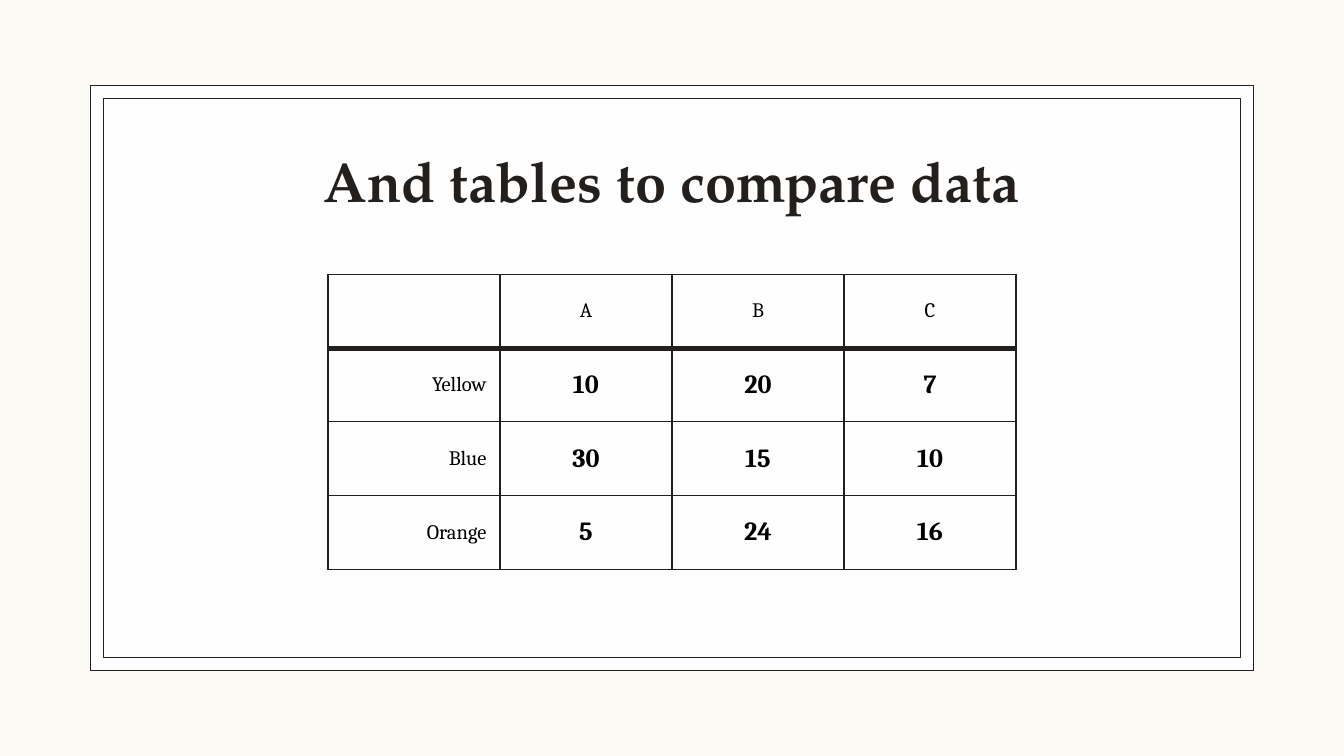
import lxml.etree
import pptx
import pptx.dml.color
import pptx.enum.shapes
import pptx.enum.text
import pptx.oxml.ns
import pptx.util

WIDTH = pptx.util.Inches(10)
HEIGHT = WIDTH * 9 // 16
INK, PAPER, CREAM, BLACK = "231F1C", "FFFFFF", "FBFAF5", "000000"
ROWS = [
    ["", "A", "B", "C"],
    ["Yellow", "10", "20", "7"],
    ["Blue", "30", "15", "10"],
    ["Orange", "5", "24", "16"],
]
ALIGN = pptx.enum.text.PP_ALIGN
MIDDLE = pptx.enum.text.MSO_ANCHOR.MIDDLE


def colour(value):
    """Turn a hex string into a colour."""
    return pptx.dml.color.RGBColor.from_string(value)


def area(left, top, width, height):
    """Turn percentages of the slide into a box in EMU."""
    return (int(WIDTH * left / 100), int(HEIGHT * top / 100),
            int(WIDTH * width / 100), int(HEIGHT * height / 100))


def inset(box, gap):
    """Shrink a box by the same gap on every side."""
    left, top, width, height = box
    return left + gap, top + gap, width - 2 * gap, height - 2 * gap


def paint_paper(fill, properties):
    """Fill with white at 93% opacity."""
    fill.solid()
    fill.fore_color.rgb = colour(PAPER)
    tint = next(properties.iter(pptx.oxml.ns.qn("a:srgbClr")))
    lxml.etree.SubElement(tint, pptx.oxml.ns.qn("a:alpha"), val="93000")


def format_text(paragraph, align, font, size, value, bold):
    """Align a paragraph and format its runs."""
    paragraph.alignment = align
    for span in paragraph.runs:
        span.font.name = font
        span.font.size = pptx.util.Pt(size)
        span.font.color.rgb = colour(value)
        span.font.bold = bold


def set_borders(cell, top, bottom):
    """Draw the four borders of a cell, with top and bottom widths in points."""
    properties = cell._tc.get_or_add_tcPr()
    widths = {"lnL": 0.75, "lnR": 0.75, "lnT": top, "lnB": bottom}
    for index, (side, width) in enumerate(widths.items()):
        line = lxml.etree.Element(pptx.oxml.ns.qn("a:" + side), w=str(pptx.util.Pt(width)))
        fill = lxml.etree.SubElement(line, pptx.oxml.ns.qn("a:solidFill"))
        lxml.etree.SubElement(fill, pptx.oxml.ns.qn("a:srgbClr"), val=INK)
        properties.insert(index, line)


def add_frame(page, box):
    """Draw the double frame: a filled outer panel and an inner outline."""
    rectangle = pptx.enum.shapes.MSO_SHAPE.RECTANGLE
    panel = page.shapes.add_shape(rectangle, *box)
    outline = page.shapes.add_shape(rectangle, *inset(box, pptx.util.Pt(6.8)))
    paint_paper(panel.fill, panel._element.spPr)
    outline.fill.background()
    for shape in (panel, outline):
        shape.shadow.inherit = False
        shape.line.color.rgb = colour(INK)
        shape.line.width = pptx.util.Pt(0.75)


def add_title(page, box, text):
    """Place the title placeholder in front of the frame."""
    title = page.shapes.title
    page.shapes._spTree.append(title._element)
    title.left, title.top, title.width, title.height = box
    frame = title.text_frame
    frame.text = text
    frame.word_wrap = True
    frame.auto_size = pptx.enum.text.MSO_AUTO_SIZE.NONE
    frame.vertical_anchor = pptx.enum.text.MSO_ANCHOR.BOTTOM
    frame.margin_left = frame.margin_right = pptx.util.Inches(0.1)
    frame.margin_top = frame.margin_bottom = pptx.util.Inches(0.1)
    format_text(frame.paragraphs[0], ALIGN.CENTER, "TeX Gyre Pagella", 30, INK, True)


def add_data_table(page, box, rows):
    """Place the table with a thick rule under its header row."""
    table = page.shapes.add_table(len(rows), len(rows[0]), *box).table
    table.first_row = table.horz_banding = False
    for row, values in enumerate(rows):
        for column, value in enumerate(values):
            cell = table.cell(row, column)
            is_data = row > 0 and column > 0
            cell.text_frame.text = value
            cell.vertical_anchor = MIDDLE
            cell.margin_left = cell.margin_right = pptx.util.Inches(0.1)
            cell.margin_top = cell.margin_bottom = pptx.util.Inches(0.07)
            align = ALIGN.RIGHT if row > 0 and column == 0 else ALIGN.CENTER
            format_text(cell.text_frame.paragraphs[0], align, "Cambria",
                        14 if is_data else 11, BLACK, is_data)
            if is_data:
                paint_paper(cell.fill, cell._tc.get_or_add_tcPr())
            else:
                cell.fill.background()
            set_borders(cell, 3 if row == 1 else 0.75, 3 if row == 0 else 0.75)


def main():
    """Build and save the deck."""
    deck = pptx.Presentation()
    deck.slide_width, deck.slide_height = WIDTH, HEIGHT
    page = deck.slides.add_slide(deck.slide_layouts[5])
    page.background.fill.solid()
    page.background.fill.fore_color.rgb = colour(CREAM)
    add_frame(page, area(6.74, 11.32, 86.52, 77.36))
    add_title(page, area(13.7, 20.27, 72.6, 9.78), "And tables to compare data")
    add_data_table(page, area(24.4, 36.3, 51.2, 39), ROWS)
    deck.save("out.pptx")


if __name__ == "__main__":
    main()
